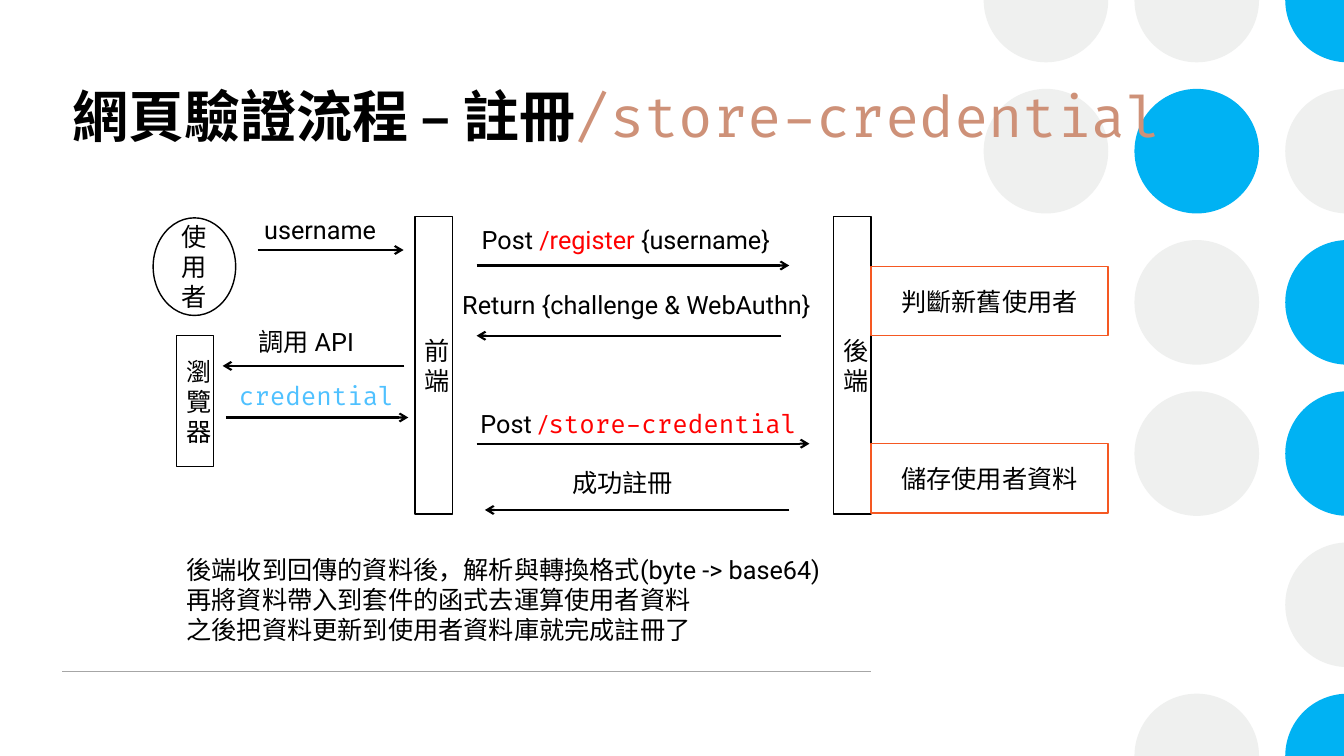
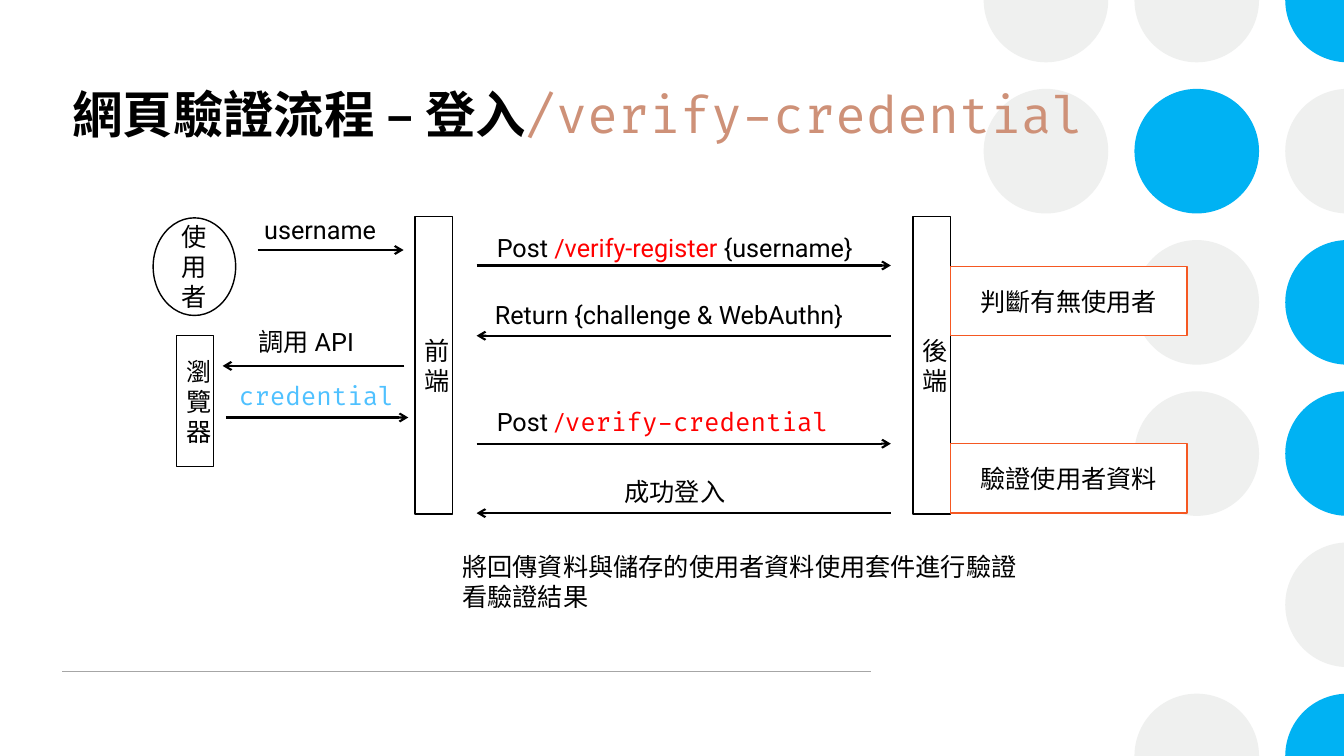
from lxml import etree
from pptx import Presentation
from pptx.dml.color import RGBColor
from pptx.enum.shapes import MSO_CONNECTOR, MSO_SHAPE
from pptx.enum.text import MSO_ANCHOR, MSO_AUTO_SIZE, PP_ALIGN
from pptx.oxml.ns import qn
from pptx.util import Cm, Pt

RECTANGLE, ELLIPSE = MSO_SHAPE.RECTANGLE, MSO_SHAPE.OVAL
STRAIGHT = MSO_CONNECTOR.STRAIGHT
TOP, MIDDLE = MSO_ANCHOR.TOP, MSO_ANCHOR.MIDDLE
LEFT, CENTER = PP_ALIGN.LEFT, PP_ALIGN.CENTER
NO_AUTOFIT = MSO_AUTO_SIZE.NONE

BLACK = RGBColor(0x00, 0x00, 0x00)
WHITE = RGBColor(0xFF, 0xFF, 0xFF)
GRAY = RGBColor(0xEF, 0xF0, 0xEF)
BLUE = RGBColor(0x00, 0xB2, 0xF3)
RULE_GRAY = RGBColor(0xA6, 0xA6, 0xA6)
ORANGE = RGBColor(0xF5, 0x58, 0x22)
RED = RGBColor(0xFF, 0x00, 0x00)
SKY = RGBColor(0x4F, 0xC1, 0xFF)
SALMON = RGBColor(0xCE, 0x91, 0x78)
BODY_FONT, CODE_FONT = "Roboto", "Fira Code"
BODY_SIZE = 18

# All lengths below are centimetres.
SLIDE_W, SLIDE_H = 33.87, 19.05
TITLE_BOX = (1.57, 2.13, 28.45, 3.53)
FOOTER_RULE = (1.57, 21.95, 16.92)

# Dots at the slide edge bleed over it.
DOT_ROWS = ["GGB", "GBG", " GB", " GB", "  G", " GB"]
DOT_COLORS = {"G": GRAY, "B": BLUE}
DOT_X, DOT_PITCH_X, DOT_PITCH_Y, DOT_RADIUS = 26.36, 3.8, 3.81, 1.57

LANE_TOP, LANE_W, LANE_H = 5.46, 0.94, 7.49
FRONTEND_X = 10.46
STEP_TOPS, STEP_W, STEP_H = (6.71, 11.18), 5.97, 1.75
LABEL_H = 1.02

# A run is (text, colour, font).
# A message is (runs, label left, top, width, arrow start x, end x, y).
POST = ("Post ", BLACK, BODY_FONT)
USERNAME = ("{username}", BLACK, BODY_FONT)


def plain(text):
    return [(text, BLACK, BODY_FONT)]


RETURN = plain("Return {challenge & WebAuthn}")
CLIENT_MESSAGES = [
    (plain("username"), 6.41, 5.27, 3.58, 6.49, 10.17, 6.3),
    (plain("調用 API"), 6.27, 8.1, 3.58, 10.19, 5.61, 9.22),
    ([("credential", SKY, CODE_FONT)], 5.77, 9.63, 4.8, 5.69, 10.29, 10.52),
]

FLOWS = [
    {
        "title": ("網頁驗證流程 – 註冊", "/store-credential", 40),
        "backend_x": 21.01,
        "messages": [
            ([POST, ("/register ", RED, BODY_FONT), USERNAME],
             11.89, 5.54, 8.2, 12.01, 19.89, 6.69),
            (RETURN, 11.4, 7.16, 9.83, 19.69, 12.01, 8.46),
            ([POST, ("/", RED, BODY_FONT), ("store-credential", RED, CODE_FONT)],
             11.86, 10.16, 10.11, 12.01, 20.4, 11.18),
            (plain("成功註冊"), 14.17, 11.66, 3.18, 19.89, 12.22, 12.85),
        ],
        "steps": ["判斷新舊使用者", "儲存使用者資料"],
        "note_box": (4.45, 13.84, 23.01, 2.57),
        "note": [
            "後端收到回傳的資料後，解析與轉換格式(byte -> base64)",
            "再將資料帶入到套件的函式去運算使用者資料",
            "之後把資料更新到使用者資料庫就完成註冊了",
        ],
    },
    {
        "title": ("網頁驗證流程 – 登入", "/verify-credential", 36),
        "backend_x": 23.01,
        "messages": [
            ([POST, ("/verify-register ", RED, BODY_FONT), USERNAME],
             12.27, 5.72, 10.87, 12.01, 22.45, 6.69),
            (RETURN, 12.22, 7.42, 9.83, 22.45, 12.01, 8.46),
            ([POST, ("/", RED, BODY_FONT), ("verify-credential", RED, CODE_FONT)],
             12.27, 10.11, 10.11, 12.01, 22.45, 11.18),
            (plain("成功登入"), 15.49, 11.89, 3.12, 22.45, 12.01, 12.93),
        ],
        "steps": ["判斷有無使用者", "驗證使用者資料"],
        "note_box": (11.4, 13.77, 16.31, 1.8),
        "note": ["將回傳資料與儲存的使用者資料使用套件進行驗證", "看驗證結果"],
    },
]


def add_run(paragraph, text, color, font, size=BODY_SIZE, bold=False):
    run = paragraph.add_run()
    run.text = text
    run.font.name = font
    run.font.size = Pt(size)
    run.font.bold = bold
    run.font.color.rgb = color


def add_line(slide, x1, x2, y, color, width, arrow=False):
    line = slide.shapes.add_connector(STRAIGHT, Cm(x1), Cm(y), Cm(x2), Cm(y))
    line.line.color.rgb = color
    line.line.width = Pt(width)
    if arrow:
        etree.SubElement(line.line._get_or_add_ln(), qn("a:tailEnd"), type="arrow")
    etree.SubElement(line._element.spPr, qn("a:effectLst"))
    return line


def add_filled(slide, kind, box, color):
    shape = slide.shapes.add_shape(kind, *map(Cm, box))
    shape.shadow.inherit = False
    shape.fill.solid()
    shape.fill.fore_color.rgb = color
    return shape


def add_box(slide, kind, box, text, border=BLACK):
    shape = add_filled(slide, kind, box, WHITE)
    shape.line.color.rgb = border
    shape.line.width = Pt(1)
    shape.text_frame.vertical_anchor = MIDDLE
    paragraph = shape.text_frame.paragraphs[0]
    paragraph.alignment = CENTER
    add_run(paragraph, text, BLACK, BODY_FONT)


def add_text(slide, box, lines):
    """Add a text box; each line is a list of runs."""
    frame = slide.shapes.add_textbox(*map(Cm, box)).text_frame
    frame.word_wrap = True
    for index, runs in enumerate(lines):
        paragraph = frame.add_paragraph() if index else frame.paragraphs[0]
        for run in runs:
            add_run(paragraph, *run)
    return frame


def add_message(slide, runs, left, top, width, start, end, y):
    frame = add_text(slide, (left, top, width, LABEL_H), [runs])
    if runs[0][2] == CODE_FONT:
        frame.paragraphs[0].line_spacing = Pt(16.5)
    add_line(slide, start, end, y, BLACK, 1.5, arrow=True)


def add_dot(slide, column, row, color):
    left = DOT_X + column * DOT_PITCH_X - DOT_RADIUS
    top = row * DOT_PITCH_Y - DOT_RADIUS
    dot = add_filled(slide, ELLIPSE, (left, top, 2 * DOT_RADIUS, 2 * DOT_RADIUS), color)
    dot.line.fill.background()
    return dot


def decorate_layout(layout, slide):
    """Draw the dots and the footer rule on a slide, then move them to its layout."""
    layout_tree = layout.shapes._spTree
    for placeholder in list(layout.placeholders)[1:]:
        layout_tree.remove(placeholder._element)
    decor = [
        add_dot(slide, column, row, DOT_COLORS[key])
        for row, keys in enumerate(DOT_ROWS)
        for column, key in enumerate(keys) if key in DOT_COLORS
    ]
    decor.append(add_line(slide, *FOOTER_RULE, RULE_GRAY, 1))
    for shape in decor:
        layout_tree.append(shape._element)


def set_title(slide, heading, endpoint, size):
    title = slide.shapes.title
    title.left, title.top, title.width, title.height = map(Cm, TITLE_BOX)
    frame = title.text_frame
    frame.auto_size = NO_AUTOFIT
    frame.vertical_anchor = TOP
    paragraph = frame.paragraphs[0]
    paragraph.alignment = LEFT
    paragraph.line_spacing = 0.9
    add_run(paragraph, heading, BLACK, BODY_FONT, size, bold=True)
    add_run(paragraph, endpoint, SALMON, CODE_FONT, size)


def fill_slide(slide, flow):
    set_title(slide, *flow["title"])
    backend_x = flow["backend_x"]
    add_box(slide, ELLIPSE, (3.86, 5.49, 2.08, 2.46), "使用者")
    add_box(slide, RECTANGLE, (4.45, 8.46, LANE_W, 3.3), "瀏覽器")
    for x, lane in ((FRONTEND_X, "前端"), (backend_x, "後端")):
        add_box(slide, RECTANGLE, (x, LANE_TOP, LANE_W, LANE_H), lane)
    for top, step in zip(STEP_TOPS, flow["steps"]):
        add_box(slide, RECTANGLE, (backend_x + LANE_W, top, STEP_W, STEP_H), step, ORANGE)
    for message in CLIENT_MESSAGES + flow["messages"]:
        add_message(slide, *message)
    add_text(slide, flow["note_box"], [plain(line) for line in flow["note"]])


def main():
    deck = Presentation()
    deck.slide_width, deck.slide_height = Cm(SLIDE_W), Cm(SLIDE_H)
    layout = deck.slide_layouts.get_by_name("Title Only")
    slides = [deck.slides.add_slide(layout) for _ in FLOWS]
    decorate_layout(layout, slides[0])
    for slide, flow in zip(slides, FLOWS):
        fill_slide(slide, flow)
    deck.save("out.pptx")


if __name__ == "__main__":
    main()
